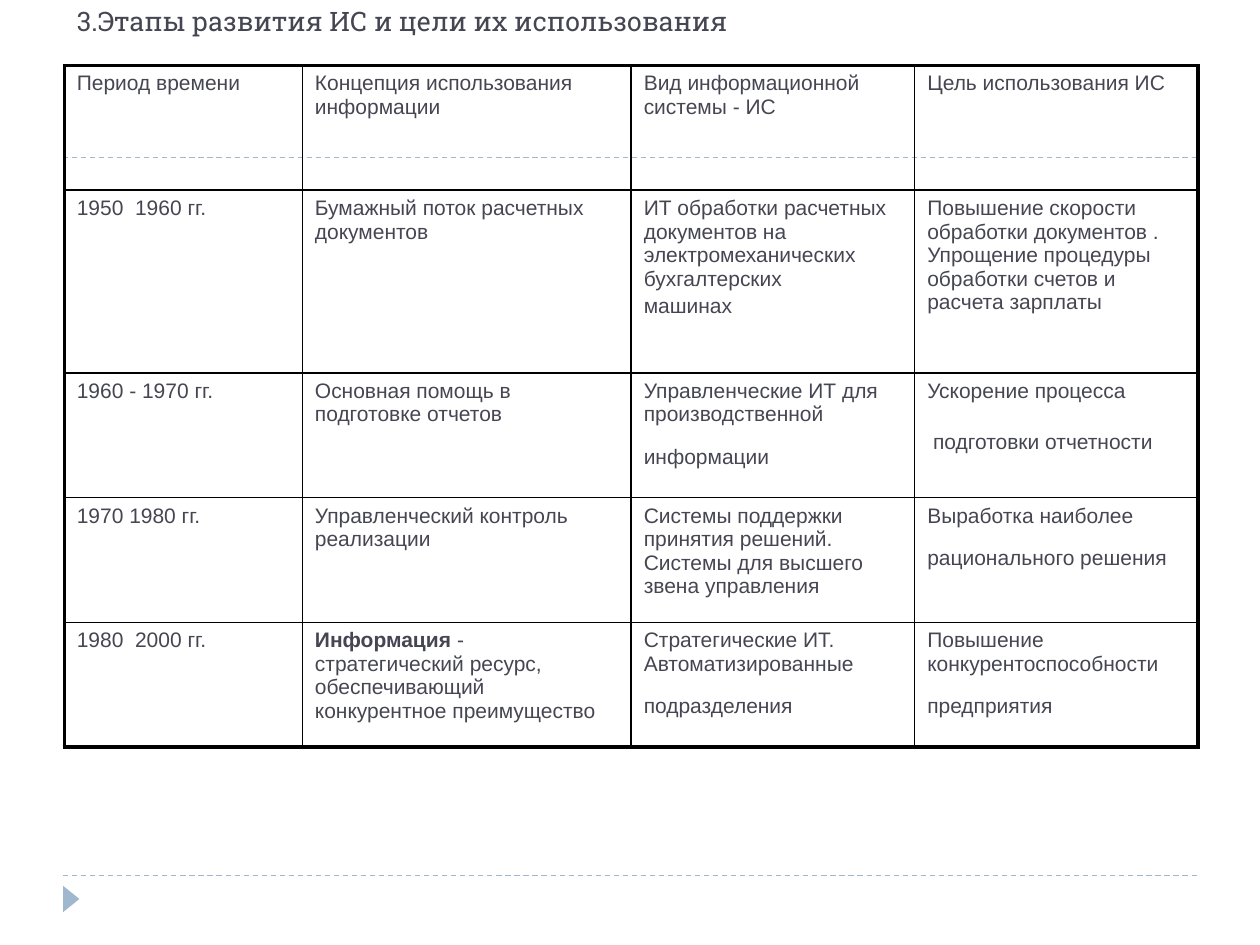
from dataclasses import dataclass

from lxml.etree import SubElement
from pptx import Presentation
from pptx.dml.color import RGBColor
from pptx.enum.dml import MSO_LINE
from pptx.enum.shapes import MSO_CONNECTOR, MSO_SHAPE
from pptx.enum.text import MSO_ANCHOR, MSO_AUTO_SIZE, PP_ALIGN
from pptx.oxml.ns import qn
from pptx.util import Inches, Pt


@dataclass(frozen=True)
class Theme:
    ink: str = "464653"
    accent: str = "9FB8CD"
    border: str = "000000"
    title_font: str = "Roboto Slab"
    body_font: str = "Arial"
    title_size: float = 15.3
    title_tail_size: float = 31.5
    body_size: float = 12
    body_tail_size: float = 24
    outer_border: float = 2.25
    inner_border: float = 1


THEME = Theme()

# A closing space in a paragraph is set larger, which opens up its last line.
STAGES = [
    [["Период времени"],
     ["Концепция использования информации"],
     ["Вид информационной системы - ИС"],
     ["Цель использования ИС"]],
    [["1950  1960 гг."],
     ["Бумажный поток расчетных документов"],
     ["ИТ обработки расчетных документов на электромеханических бухгалтерских",
      "машинах"],
     ["Повышение скорости обработки документов . "
      "Упрощение процедуры обработки счетов и расчета зарплаты"]],
    [["1960 - 1970 гг."],
     ["Основная помощь в подготовке отчетов"],
     ["Управленческие ИТ для производственной информации "],
     ["Ускорение процесса", " подготовки отчетности "]],
    [["1970 1980 гг."],
     ["Управленческий контроль реализации"],
     ["Системы поддержки принятия решений. Системы для высшего звена управления"],
     ["Выработка наиболее рационального решения "]],
    [["1980  2000 гг."],
     ["Информация - стратегический ресурс, обеспечивающий конкурентное преимущество"],
     ["Стратегические ИТ. Автоматизированные подразделения "],
     ["Повышение конкурентоспособности предприятия "]],
]
KEY_TERM = "Информация"
COLUMN_WIDTHS = [1.89, 2.61, 2.25, 2.25]
ROW_HEIGHTS = [0.99, 1.45, 0.99, 0.99, 0.99]


def write(paragraph, text, size=THEME.body_size, font=THEME.body_font, bold=False):
    run = paragraph.add_run()
    run.text = text
    run.font.size = Pt(size)
    run.font.name = font
    run.font.bold = bold
    run.font.color.rgb = RGBColor.from_string(THEME.ink)


def draw_border(cell, side, width):
    """Side is L, R, T or B; call in that order, before the cell's fill is set."""
    line = SubElement(cell._tc.get_or_add_tcPr(), qn(f"a:ln{side}"), w=str(Pt(width)))
    fill = SubElement(line, qn("a:solidFill"))
    SubElement(fill, qn("a:srgbClr"), val=THEME.border)


presentation = Presentation()
presentation.slide_width = Inches(10)
presentation.slide_height = Inches(7.5)
slide = presentation.slides.add_slide(presentation.slide_layouts[5])

# Heading
heading = slide.shapes.title
heading.left, heading.top = Inches(0.51), Inches(0)
heading.width, heading.height = Inches(9), Inches(0.39)
heading.text_frame.auto_size = MSO_AUTO_SIZE.NONE
heading.text_frame.word_wrap = True
heading.text_frame.vertical_anchor = MSO_ANCHOR.BOTTOM
heading_line = heading.text_frame.paragraphs[0]
heading_line.alignment = PP_ALIGN.LEFT
write(heading_line, "3.Этапы развития ИС и цели их использования",
      size=THEME.title_size, font=THEME.title_font)
write(heading_line, " ", size=THEME.title_tail_size, font=THEME.title_font)

# Dashed rules and the corner marker
for rule_top in (6.95, 1.25):
    rule = slide.shapes.add_connector(
        MSO_CONNECTOR.STRAIGHT,
        Inches(0.5), Inches(rule_top), Inches(9.5), Inches(rule_top))
    rule.line.color.rgb = RGBColor.from_string(THEME.accent)
    rule.line.width = Pt(0.75)
    rule.line.dash_style = MSO_LINE.DASH
    SubElement(rule._element.spPr, qn("a:effectLst"))

marker = slide.shapes.add_shape(
    MSO_SHAPE.ISOSCELES_TRIANGLE,
    Inches(0.46), Inches(7.07), Inches(0.21), Inches(0.13))
marker.rotation = 90
marker.shadow.inherit = False
marker.fill.solid()
marker.fill.fore_color.rgb = RGBColor.from_string(THEME.accent)
marker.line.fill.background()

# Table of stages
stages = slide.shapes.add_table(
    len(ROW_HEIGHTS), len(COLUMN_WIDTHS), Inches(0.51), Inches(0.52),
    Inches(sum(COLUMN_WIDTHS)), Inches(sum(ROW_HEIGHTS))).table
stages.first_row = False
stages.horz_banding = False
for column, width in zip(stages.columns, COLUMN_WIDTHS):
    column.width = Inches(width)
for row, height in zip(stages.rows, ROW_HEIGHTS):
    row.height = Inches(height)

last_row, last_column = len(ROW_HEIGHTS) - 1, len(COLUMN_WIDTHS) - 1
for row_index, stage in enumerate(STAGES):
    for column_index, lines in enumerate(stage):
        cell = stages.cell(row_index, column_index)
        on_edge = {"L": column_index == 0, "R": column_index == last_column,
                   "T": row_index == 0, "B": row_index == last_row}
        for side, outer in on_edge.items():
            draw_border(cell, side, THEME.outer_border if outer else THEME.inner_border)
        cell.fill.background()

        for line_index, text in enumerate(lines):
            has_tail = text.endswith(" ")
            if line_index == 0:
                paragraph = cell.text_frame.paragraphs[0]
            else:
                paragraph = cell.text_frame.add_paragraph()
                tallest = THEME.body_tail_size if has_tail else THEME.body_size
                paragraph.space_before = Pt(0.2 * tallest)
            body = text.removesuffix(" ")
            if body.startswith(KEY_TERM):
                write(paragraph, KEY_TERM, bold=True)
                body = body.removeprefix(KEY_TERM)
            write(paragraph, body)
            if has_tail:
                write(paragraph, " ", size=THEME.body_tail_size)

presentation.save("out.pptx")
